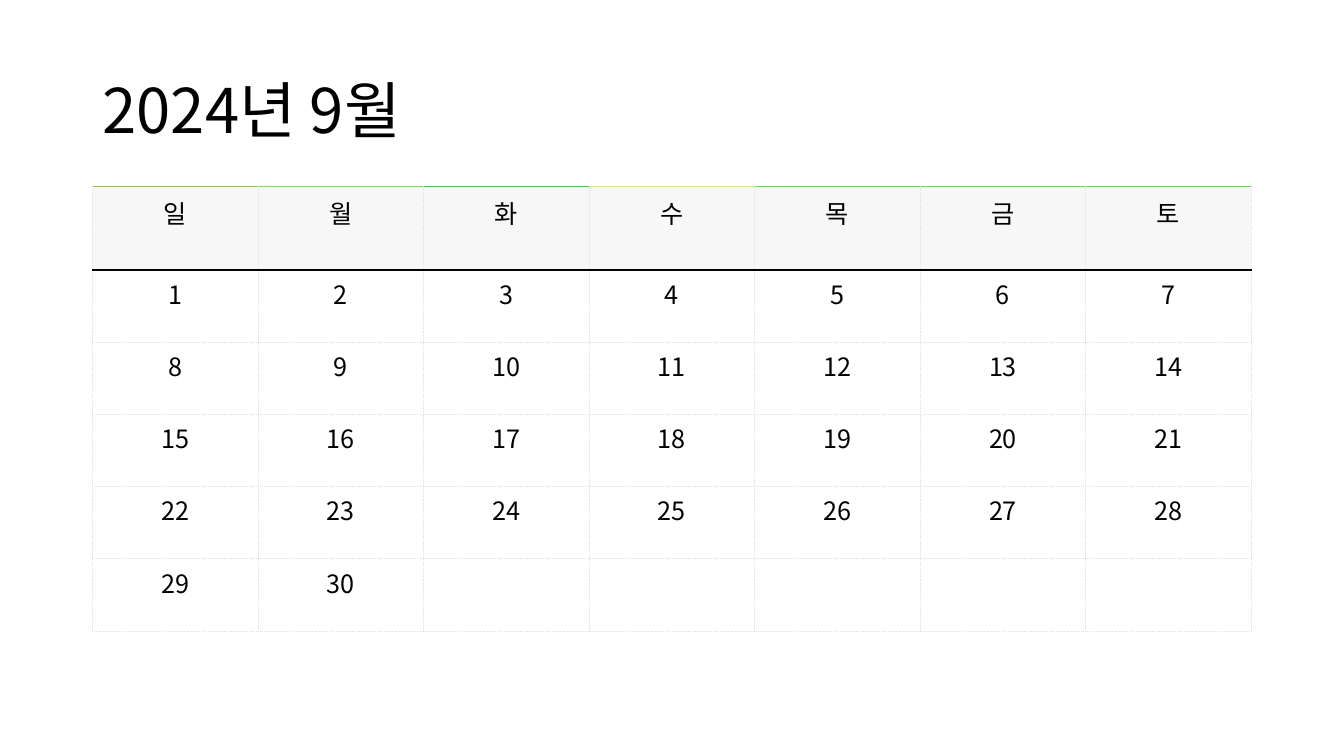
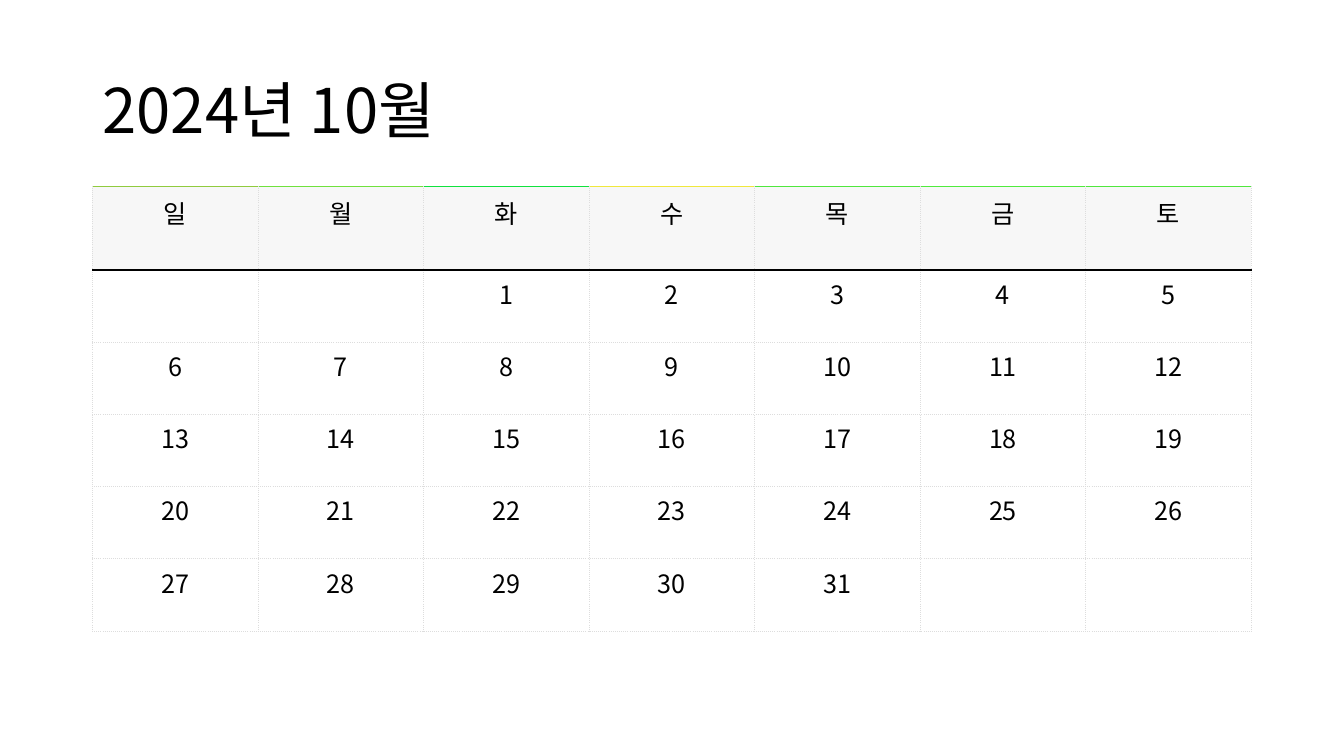
from dataclasses import dataclass

from lxml.etree import SubElement
from pptx import Presentation
from pptx.dml.color import RGBColor
from pptx.enum.text import MSO_ANCHOR, MSO_AUTO_SIZE, PP_ALIGN
from pptx.oxml.ns import qn
from pptx.util import Cm, Pt

# title, column of the first day (0 = Sunday), number of days
MONTHS = [
    ("2024년 9월", 0, 30),
    ("2024년 10월", 2, 31),
]
# weekday, colour of the line above it
WEEKDAYS = [
    ("일", "90CB3E"),
    ("월", "70E13D"),
    ("화", "10E23D"),
    ("수", "F0E83D"),
    ("목", "50E73D"),
    ("금", "50EB3D"),
    ("토", "50E73D"),
]


@dataclass(frozen=True)
class Theme:
    font: str = "Noto Sans CJK KR"
    title_size: int = 44
    cell_size: int = 18
    ink: str = "000000"
    paper: str = "FFFFFF"
    header_fill: str = "F7F7F7"
    grid: str = "DDDDDD"
    thin: float = 0.75
    thick: float = 1.5


THEME = Theme()
SLIDE_SIZE = Cm(33.87), Cm(19.05)
LEFT, WIDTH = Cm(2.33), Cm(29.21)
TITLE_TOP, TITLE_HEIGHT = Cm(1.01), Cm(3.68)
TABLE_TOP = TITLE_TOP + TITLE_HEIGHT
HEADER_HEIGHT, WEEK_HEIGHT = Cm(2.11), Cm(1.82)
HEADER_INSET, DAY_INSET = Cm(0.2), Cm(0.13)

GRID_LINE = (THEME.grid, THEME.thin, "dot")
HEADER_RULE = (THEME.ink, THEME.thick, "solid")


def style_paragraph(paragraph, size, align):
    """Set the type of a paragraph for Latin and Korean characters alike."""
    paragraph.alignment = align
    for run in paragraph.runs:
        font = run.font
        for name, value in {"name": THEME.font, "size": Pt(size), "bold": False}.items():
            setattr(font, name, value)
        font.color.rgb = RGBColor.from_string(THEME.ink)
        SubElement(run._r.get_or_add_rPr(), qn("a:ea"), typeface=THEME.font)


def set_borders(cell, top, bottom):
    properties = cell._tc.get_or_add_tcPr()
    sides = {"lnL": GRID_LINE, "lnR": GRID_LINE, "lnT": top, "lnB": bottom}
    for side, (color, width, dash) in sides.items():
        line = SubElement(properties, qn(f"a:{side}"), w=str(Pt(width)))
        SubElement(SubElement(line, qn("a:solidFill")), qn("a:srgbClr"), val=color)
        SubElement(line, qn("a:prstDash"), val=dash)


def fill_cell(cell, text, fill, inset, top, bottom):
    for side in ("left", "top", "right", "bottom"):
        setattr(cell, f"margin_{side}", inset)
    set_borders(cell, top, bottom)
    cell.fill.solid()
    cell.fill.fore_color.rgb = RGBColor.from_string(fill)
    cell.text = text
    style_paragraph(cell.text_frame.paragraphs[0], THEME.cell_size, PP_ALIGN.CENTER)


def weeks_of(first_column, day_count):
    """Return the days as rows of seven texts, blank outside the month."""
    days = [""] * first_column + [str(day + 1) for day in range(day_count)]
    days += [""] * (-len(days) % len(WEEKDAYS))
    return [days[i:i + len(WEEKDAYS)] for i in range(0, len(days), len(WEEKDAYS))]


def add_title(slide, text):
    title = slide.shapes.title
    place = {"left": LEFT, "top": TITLE_TOP, "width": WIDTH, "height": TITLE_HEIGHT}
    for name, value in place.items():
        setattr(title, name, value)
    frame = title.text_frame
    frame.text = text
    frame.auto_size = MSO_AUTO_SIZE.NONE
    frame.vertical_anchor = MSO_ANCHOR.MIDDLE
    frame.paragraphs[0].line_spacing = 0.9
    style_paragraph(frame.paragraphs[0], THEME.title_size, PP_ALIGN.LEFT)


def add_calendar(slide, weeks):
    height = HEADER_HEIGHT + WEEK_HEIGHT * len(weeks)
    calendar = slide.shapes.add_table(
        len(weeks) + 1, len(WEEKDAYS), LEFT, TABLE_TOP, WIDTH, height
    ).table
    calendar.first_row = calendar.horz_banding = False
    for column in calendar.columns:
        column.width = WIDTH // len(WEEKDAYS)
    for index, row in enumerate(calendar.rows):
        row.height = WEEK_HEIGHT if index else HEADER_HEIGHT

    for column, (weekday, accent) in enumerate(WEEKDAYS):
        fill_cell(calendar.cell(0, column), weekday, THEME.header_fill, HEADER_INSET,
                  (accent, THEME.thin, "solid"), HEADER_RULE)
    for row, week in enumerate(weeks, 1):
        top = HEADER_RULE if row == 1 else GRID_LINE
        for column, day in enumerate(week):
            fill_cell(calendar.cell(row, column), day, THEME.paper, DAY_INSET,
                      top, GRID_LINE)


def main():
    deck = Presentation()
    deck.slide_width, deck.slide_height = SLIDE_SIZE
    title_only = deck.slide_layouts.get_by_name("Title Only")
    for title, first_column, day_count in MONTHS:
        slide = deck.slides.add_slide(title_only)
        add_title(slide, title)
        add_calendar(slide, weeks_of(first_column, day_count))
    deck.save("out.pptx")


if __name__ == "__main__":
    main()
